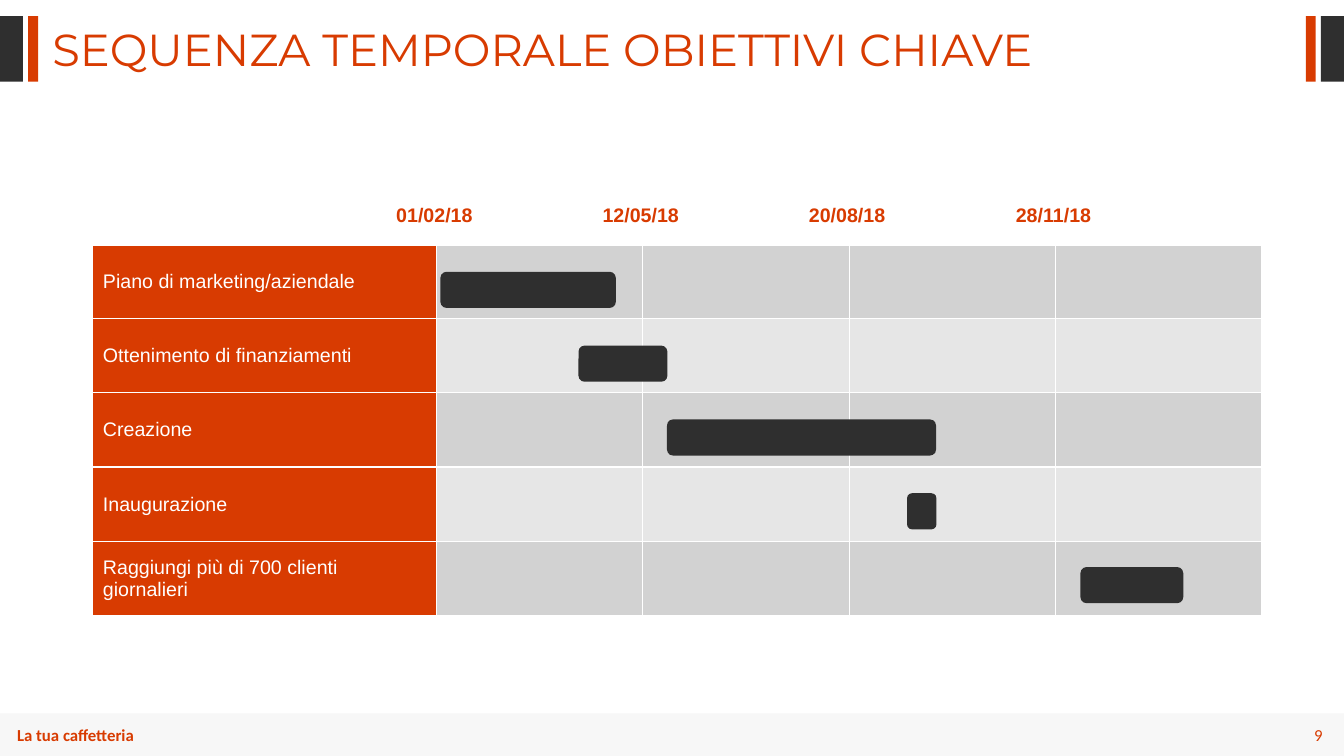
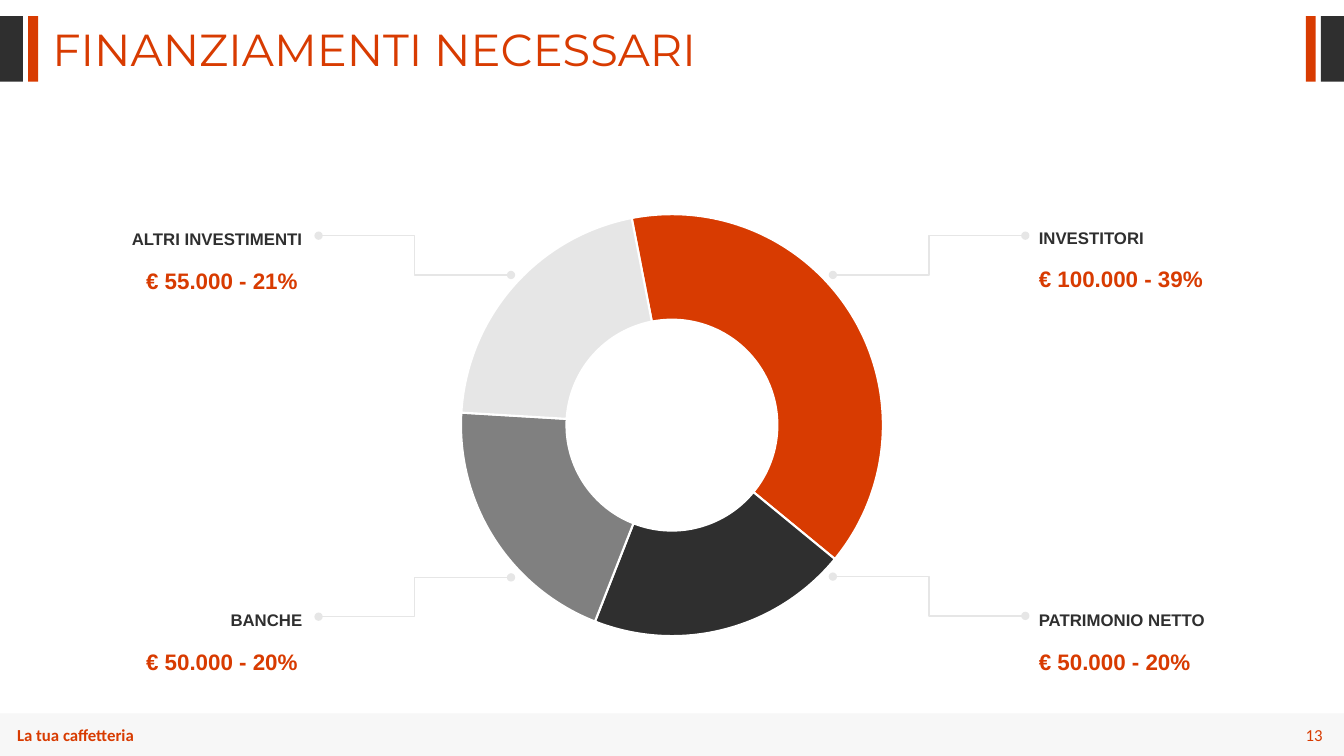
from lxml.etree import SubElement
from pptx import Presentation
from pptx.chart.data import CategoryChartData
from pptx.dml.color import RGBColor
from pptx.enum.chart import XL_CHART_TYPE
from pptx.enum.shapes import MSO_CONNECTOR, MSO_SHAPE
from pptx.enum.text import MSO_ANCHOR, MSO_AUTO_SIZE, PP_ALIGN
from pptx.oxml.ns import qn
from pptx.util import Cm, Pt

PAGE_WIDTH, PAGE_HEIGHT = 33.87, 19.05
COLOURS = {
    "accent": "D83B01",
    "dark": "2F2F2F",
    "grey": "808080",
    "band": "D2D2D2",
    "light": "E6E6E6",
    "white": "FFFFFF",
    "black": "000000",
}
FORMATS = {
    "title": {"size": Pt(32), "name": "Montserrat", "colour": "accent"},
    "footer": {"size": Pt(12), "name": "Calibri", "bold": True, "colour": "accent"},
    "number": {"size": Pt(12), "name": "Calibri", "colour": "accent"},
    "date": {"size": Pt(14), "name": "Arial", "bold": True, "colour": "accent"},
    "task": {"size": Pt(14), "name": "Arial", "colour": "white"},
    "source": {"size": Pt(12), "name": "Arial", "bold": True, "colour": "dark"},
    "amount": {"size": Pt(16), "name": "Arial", "bold": True, "colour": "accent"},
    "chart": {"size": Pt(10), "name": "Calibri", "colour": "black"},
}

TABLE_LEFT, TABLE_TOP = 2.34, 4.29
TASK_WIDTH, PERIOD_WIDTH, ROW_HEIGHT = 8.66, 5.2, 1.87
DATES = ["01/02/18", "12/05/18", "20/08/18", "28/11/18"]
# Task, left edge and width of its bar
TASKS = [
    ("Piano di marketing/aziendale", 11.1, 4.42),
    ("Ottenimento di finanziamenti", 14.58, 2.24),
    ("Creazione", 16.81, 6.78),
    ("Inaugurazione", 22.86, 0.74),
    ("Raggiungi più di 700 clienti giornalieri", 27.23, 2.59),
]

SHARES = [(39, "accent"), (20, "dark"), (20, "grey"), (21, "light")]
# Source, amount, on the left side, top of the label, line start and end heights
CALLOUTS = [
    ("ALTRI INVESTIMENTI", "€ 55.000 - 21%", True, 5.54, 6.93, 5.94),
    ("BANCHE", "€ 50.000 - 20%", True, 15.14, 14.55, 15.54),
    ("INVESTITORI", "€ 100.000 - 39%", False, 5.51, 6.93, 5.94),
    ("PATRIMONIO NETTO", "€ 50.000 - 20%", False, 15.14, 14.53, 15.52),
]


def colour(name):
    return RGBColor.from_string(COLOURS[name])


def set_font(font, style):
    for attribute, value in FORMATS[style].items():
        if attribute == "colour":
            font.color.rgb = colour(value)
        else:
            setattr(font, attribute, value)


def write(para, text, style):
    span = para.add_run()
    span.text = text
    set_font(span.font, style)


def add_text(page, text, style, left, top, width, height, align=PP_ALIGN.LEFT,
             spacing=None, wrap=True):
    box = page.shapes.add_textbox(Cm(left), Cm(top), Cm(width), Cm(height))
    frame = box.text_frame
    frame.word_wrap = wrap
    frame.auto_size = MSO_AUTO_SIZE.SHAPE_TO_FIT_TEXT
    para = frame.paragraphs[0]
    para.alignment = align
    if spacing:
        para.line_spacing = spacing
    write(para, text, style)


def add_block(page, fill, left, top, width, height, kind=MSO_SHAPE.RECTANGLE):
    block = page.shapes.add_shape(kind, Cm(left), Cm(top), Cm(width), Cm(height))
    block.shadow.inherit = False
    block.fill.solid()
    block.fill.fore_color.rgb = colour(fill)
    block.line.fill.background()
    return block


def add_page(deck, title, number):
    """Add a page with the side bands, the title and the footer."""
    page = deck.slides.add_slide(deck.slide_layouts[6])
    for fill, left, width in (("dark", 0, 0.58), ("accent", 0.71, 0.25)):
        for edge in (left, PAGE_WIDTH - left - width):
            add_block(page, fill, edge, 0.41, width, 1.65)
    footer = add_block(page, "light", 0, 17.98, PAGE_WIDTH, PAGE_HEIGHT - 17.98)
    fill_colour = footer.element.spPr.find(".//" + qn("a:srgbClr"))
    SubElement(fill_colour, qn("a:alpha"), val="30000")
    add_text(page, "La tua caffetteria", "footer", 0.18, 18.14, 4.67, 0.76)
    add_text(page, number, "number", 31.37, 18.14, 2.21, 0.76, PP_ALIGN.RIGHT)
    add_text(page, title, "title", 1.07, 0.69, 28.22, 1.37, spacing=0.8)
    return page


def style_cell(cell, fill, bottom=1, top=1):
    properties = cell._tc.get_or_add_tcPr()
    for side, points in (("L", 1), ("R", 1), ("T", top), ("B", bottom)):
        border = SubElement(properties, qn(f"a:ln{side}"), w=str(Pt(points)))
        solid = SubElement(border, qn("a:solidFill"))
        SubElement(solid, qn("a:srgbClr"), val=COLOURS["white"])
    cell.fill.solid()
    cell.fill.fore_color.rgb = colour(fill)
    cell.vertical_anchor = MSO_ANCHOR.MIDDLE


def add_schedule(page):
    widths = [TASK_WIDTH] + [PERIOD_WIDTH] * len(DATES)
    row_count = len(TASKS) + 1
    table = page.shapes.add_table(
        row_count, len(widths), Cm(TABLE_LEFT), Cm(TABLE_TOP),
        Cm(sum(widths)), Cm(ROW_HEIGHT * row_count)).table
    table.horz_banding = False
    for column, width in zip(table.columns, widths):
        column.width = Cm(width)
    for row in table.rows:
        row.height = Cm(ROW_HEIGHT)
    for cell in table.rows[0].cells:
        style_cell(cell, "white", bottom=3)
    for index, (task, _, _) in enumerate(TASKS, 1):
        first, *periods = table.rows[index].cells
        top = 3 if index == 1 else 1
        style_cell(first, "accent", top=top)
        write(first.text_frame.paragraphs[0], task, "task")
        for cell in periods:
            style_cell(cell, "band" if index % 2 else "light", top=top)


def add_dates(page):
    width = 2.44
    for index, date in enumerate(DATES):
        centre = TABLE_LEFT + TASK_WIDTH + index * PERIOD_WIDTH - 0.05
        add_text(page, date, "date", centre - width / 2, 5, width, 0.86,
                 PP_ALIGN.CENTER, wrap=False)


def add_task_bars(page):
    for index, (_, left, width) in enumerate(TASKS):
        add_block(page, "dark", left, 6.85 + index * 1.86, width, 0.91,
                  MSO_SHAPE.ROUNDED_RECTANGLE)


def place_plot(chart, **fractions):
    """Fix the inner plot area as fractions of the chart frame."""
    area = chart._chartSpace.find(".//" + qn("c:plotArea"))
    for old in area.findall(qn("c:layout")):
        area.remove(old)
    layout = SubElement(area, qn("c:layout"))
    area.insert(0, layout)
    manual = SubElement(layout, qn("c:manualLayout"))
    settings = {"layoutTarget": "inner", "xMode": "edge", "yMode": "edge", **fractions}
    for tag, value in settings.items():
        SubElement(manual, qn(f"c:{tag}"), val=str(value))


def add_doughnut(page):
    data = CategoryChartData()
    data.categories = [str(index) for index in range(1, len(SHARES) + 1)]
    data.add_series("Series 1", [value for value, _ in SHARES])
    chart = page.shapes.add_chart(
        XL_CHART_TYPE.DOUGHNUT, Cm(8.36), Cm(5), Cm(17.15), Cm(11.43), data).chart
    chart.has_legend = False
    chart.has_title = False
    set_font(chart.font, "chart")
    plot = chart.plots[0]
    plot.vary_by_categories = True
    for index, (_, fill) in enumerate(SHARES):
        point = plot.series[0].points[index].format
        point.fill.solid()
        point.fill.fore_color.rgb = colour(fill)
        point.line.color.rgb = colour("white")
        point.line.width = Pt(1.5)
    for tag, value in (("firstSliceAng", "349"), ("holeSize", "64")):
        chart._chartSpace.find(".//" + qn(f"c:{tag}")).set("val", value)
    place_plot(chart, x=0.19, y=0.03, w=0.62, h=0.94)


def add_elbow(page, start, end):
    elbow = page.shapes.add_connector(
        MSO_CONNECTOR.ELBOW, *(Cm(length) for length in start + end))
    elbow.line.color.rgb = colour("light")
    elbow.line.width = Pt(1)
    properties = elbow.element.spPr
    line = properties.find(qn("a:ln"))
    for tag in ("headEnd", "tailEnd"):
        SubElement(line, qn(f"a:{tag}"), type="oval")
    SubElement(properties, qn("a:effectLst"))


def add_callout(page, source, amount, on_left, top, start_y, end_y):
    if on_left:
        source_left, amount_left, align = 0.12, 0, PP_ALIGN.RIGHT
        start_x, end_x = 12.88, 8.03
    else:
        source_left, amount_left, align = 25.93, 25.93, PP_ALIGN.LEFT
        start_x, end_x = PAGE_WIDTH - 12.88, PAGE_WIDTH - 8.03
    add_elbow(page, (start_x, start_y), (end_x, end_y))
    add_text(page, source, "source", source_left, top, 7.75, 0.81, align, 1.2)
    add_text(page, amount, "amount", amount_left, top + 0.92, 7.75, 0.99, align, 1.2)


def main():
    deck = Presentation()
    deck.slide_width, deck.slide_height = Cm(PAGE_WIDTH), Cm(PAGE_HEIGHT)

    timeline = add_page(deck, "SEQUENZA TEMPORALE OBIETTIVI CHIAVE", "9")
    add_schedule(timeline)
    add_dates(timeline)
    add_task_bars(timeline)

    funding = add_page(deck, "FINANZIAMENTI NECESSARI", "13")
    add_doughnut(funding)
    for callout in CALLOUTS:
        add_callout(funding, *callout)

    deck.save("out.pptx")


if __name__ == "__main__":
    main()
